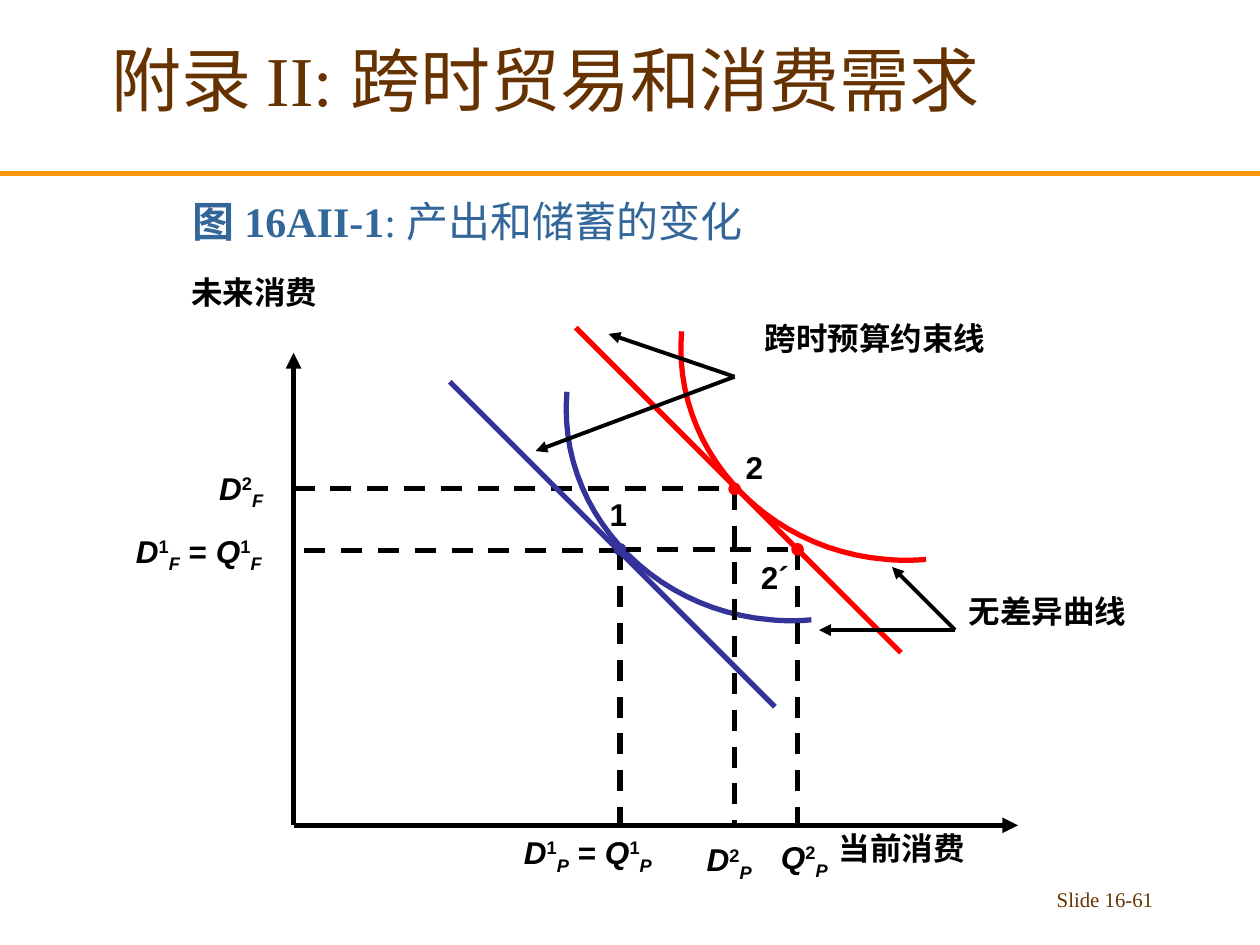
from pptx import Presentation
from pptx.dml.color import RGBColor
from pptx.enum.dml import MSO_LINE
from pptx.enum.shapes import MSO_CONNECTOR, MSO_SHAPE
from pptx.enum.text import MSO_ANCHOR, MSO_AUTO_SIZE as FIT, PP_ALIGN
from pptx.oxml.ns import qn
from pptx.util import Inches, Pt
from lxml import etree

COLORS = {"title": "663300", "caption": "336699", "rule": "FF9900",
          "ink": "000000", "first": "333399", "second": "FF0000"}
SERIF, SANS = "Times New Roman", "Arial"
SUP, SUB = 30, -25


def rgb(name):
    return RGBColor.from_string(COLORS[name])


def bezier(p0, p1, p2, p3, steps=24):
    """Points along a cubic curve, without its start."""
    for i in range(1, steps + 1):
        t = i / steps
        u = 1 - t
        yield tuple(u**3 * a + 3 * u * u * t * b + 3 * u * t * t * c + t**3 * d
                    for a, b, c, d in zip(p0, p1, p2, p3))


def var(name, sup, sub):
    """Runs of a variable with upper and lower index: text, italic, baseline."""
    return [(name, True, 0), (sup, False, SUP), (sub, True, SUB)]


class Figure:
    def __init__(self, slide):
        self.s = slide

    def run(self, p, text, size, color, font=SANS, bold=False, italic=False, base=0):
        r = p.add_run()
        r.text = text
        f = r.font
        f.size, f.name, f.bold, f.italic = Pt(size), font, bold, italic
        f.color.rgb = rgb(color)
        if base:
            r._r.get_or_add_rPr().set("baseline", str(base * 1000))

    def placeholder(self, sp, box, anchor, align):
        sp.left, sp.top, sp.width, sp.height = map(Inches, box)
        tf = sp.text_frame
        tf.auto_size, tf.vertical_anchor, tf.word_wrap = FIT.NONE, anchor, True
        p = tf.paragraphs[0]
        p.alignment, p.space_before = align, Pt(0)
        return p

    def textbox(self, x, y, w, h):
        return self.s.shapes.add_textbox(*map(Inches, (x, y, w, h))).text_frame

    def label(self, x, y, w, runs, h=0.4):
        tf = self.textbox(x, y, w, h)
        tf.word_wrap, tf.auto_size = False, FIT.SHAPE_TO_FIT_TEXT
        if isinstance(runs, str):
            runs = [(runs, False, 0)]
        for text, italic, base in runs:
            self.run(tf.paragraphs[0], text, 18, "ink", bold=True, italic=italic, base=base)

    def line(self, start, end, color="ink", width=3, dash=False, arrow=False):
        c = self.s.shapes.add_connector(MSO_CONNECTOR.STRAIGHT,
                                        *map(Inches, (*start, *end)))
        c.line.color.rgb, c.line.width = rgb(color), Pt(width)
        if dash:
            c.line.dash_style = MSO_LINE.DASH
        if arrow:
            etree.SubElement(c.line._get_or_add_ln(), qn("a:tailEnd"), type="triangle")
        etree.SubElement(c._element.spPr, qn("a:effectLst"))

    def curve(self, points, color):
        start = points[0]
        path = [*bezier(*points[:4]), *bezier(*points[3:])]
        fb = self.s.shapes.build_freeform(*map(Inches, start), scale=1.0)
        fb.add_line_segments([tuple(map(Inches, pt)) for pt in path], close=False)
        sp = fb.convert_to_shape()
        sp.shadow.inherit = False
        sp.fill.background()
        sp.line.color.rgb, sp.line.width = rgb(color), Pt(3)

    def dot(self, center, color, d=0.09):
        x, y = center
        sp = self.s.shapes.add_shape(MSO_SHAPE.OVAL, *map(
            Inches, (x - d / 2, y - d / 2, d, d)))
        sp.shadow.inherit = False
        sp.fill.solid()
        sp.fill.fore_color.rgb = sp.line.color.rgb = rgb(color)
        sp.line.width = Pt(0.75)


def main():
    prs = Presentation()
    prs.slide_width, prs.slide_height = Inches(10), Inches(7.5)
    s = prs.slides.add_slide(prs.slide_layouts[1])
    fig = Figure(s)

    # Title, rule and figure caption
    fig.line((0, 1.38), (10, 1.38), "rule")
    p = fig.placeholder(s.shapes.title, (0.08, 0, 8.5, 1.25),
                        MSO_ANCHOR.MIDDLE, PP_ALIGN.CENTER)
    fig.run(p, "附录 II: 跨时贸易和消费需求", 40, "title", SERIF)
    p = fig.placeholder(s.placeholders[1], (0, 1.42, 10, 0.58),
                        MSO_ANCHOR.BOTTOM, PP_ALIGN.LEFT)
    pPr = p._p.get_or_add_pPr()
    pPr.set("marL", str(Inches(1.43)))
    pPr.set("indent", "0")
    etree.SubElement(pPr, qn("a:buNone"))
    fig.run(p, "图 16AII-1", 24, "caption", SERIF, bold=True)
    fig.run(p, ": 产出和储蓄的变化", 24, "caption", SERIF)

    # Budget lines and indifference curves
    dx, dy = 0.91, -0.48
    curve = [(6.44, 4.92), (6.33, 4.93), (6.23, 4.93), (6.12, 4.92),
             (5.15, 4.84), (4.42, 4.03), (4.5, 3.11)]
    fig.line((4.57, 2.6), (7.15, 5.18), "second")
    fig.curve([(x + dx, y + dy) for x, y in curve], "second")
    fig.curve(curve, "first")

    # Axes
    x0, y0 = 2.33, 6.55
    fig.line((x0, y0), (x0, 2.8), arrow=True)
    fig.line((x0, y0), (8.08, y0), arrow=True)
    fig.label(1.42, 2.12, 1.2, "未来消费")
    fig.label(6.56, 6.53, 1.2, "当前消费")

    # Guides from the axes to the three points
    one, two, two_prime = (4.92, 4.36), (5.83, 3.88), (6.33, 4.36)
    for x, y in (one, two, two_prime):
        fig.line((x, y), (x, y0), dash=True)
    fig.line((one[0], 4.37), (x0, 4.37), dash=True)
    fig.line((x0, two[1]), two, dash=True)
    fig.line(one, two_prime, dash=True)
    fig.line((3.57, 3.03), (6.15, 5.61), "first")

    # Points
    for point, color in ((one, "first"), (two, "second"), (two_prime, "second")):
        fig.dot(point, color)
    fig.label(4.74, 3.88, 0.34, "1")
    fig.label(5.82, 3.51, 0.34, "2")
    fig.label(5.94, 4.38, 0.42, "2´")

    # Quantities on the axes
    equals = [(" = ", False, 0)]
    for x, y, w, runs in (
            (4.06, 6.56, 1.32, var("D", "1", "P") + equals + var("Q", "1", "P")),
            (5.51, 6.62, 0.56, var("D", "2", "P")),
            (6.1, 6.6, 0.57, var("Q", "2", "P")),
            (0.98, 4.17, 1.24, var("D", "1", "F") + equals + var("Q", "1", "F")),
            (1.64, 3.67, 0.55, var("D", "2", "F"))):
        fig.label(x, y, w, runs, 0.44)

    # Callouts
    for x, y, w, text, start, tips in (
            (5.97, 2.48, 1.95, "跨时预算约束线", (5.83, 2.99), ((4.25, 3.58), (4.83, 2.65))),
            (7.59, 4.65, 1.45, "无差异曲线", (7.58, 5), ((6.5, 5), (7.08, 4.5)))):
        fig.label(x, y, w, text)
        for tip in tips:
            fig.line(start, tip, width=2.25, arrow=True)

    # Slide number
    tf = fig.textbox(7.17, 6.99, 2.08, 0.34)
    tf.word_wrap = True
    tf.paragraphs[0].alignment = PP_ALIGN.RIGHT
    fig.run(tf.paragraphs[0], "Slide 16-61", 11.9, "title", SERIF)

    prs.save("out.pptx")


if __name__ == "__main__":
    main()
